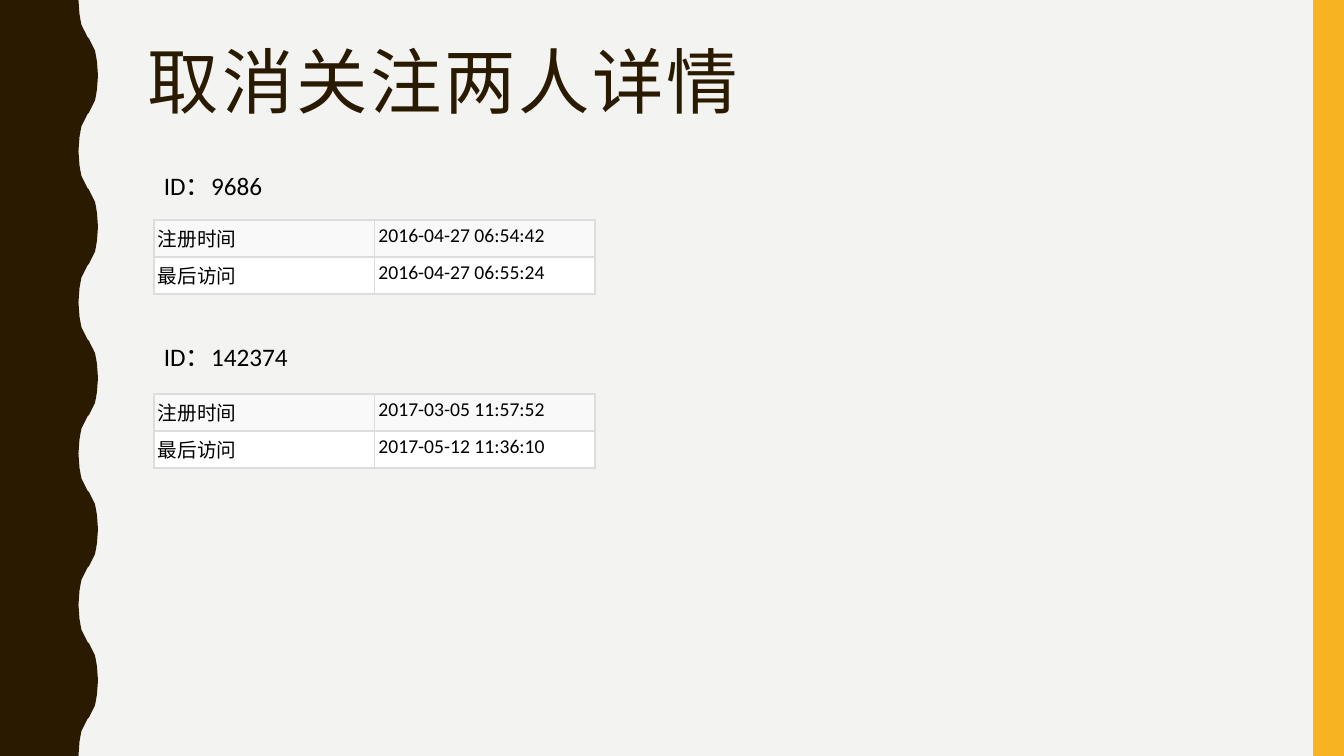
"""Build the slide with the details of two users who unfollowed."""
from lxml.etree import SubElement
from pptx import Presentation
from pptx.dml.color import RGBColor
from pptx.enum.shapes import MSO_SHAPE as Shape
from pptx.oxml.ns import qn
from pptx.util import Pt

EMU_PER_PIXEL = 914400 / 100.8
WIDTH, HEIGHT = 1344, 756
BROWN = RGBColor(0x2A, 0x1A, 0x00)
AMBER = RGBColor(0xF8, 0xB3, 0x23)
PAPER = RGBColor(0xF3, 0xF3, 0xF2)
BLACK = RGBColor(0x00, 0x00, 0x00)
BORDER = RGBColor(0xDD, 0xDD, 0xDD)
ROW_FILLS = (RGBColor(0xF9, 0xF9, 0xF9), RGBColor(0xFF, 0xFF, 0xFF))
TITLE_FONT, BODY_FONT = "Arial Narrow", "Calibri"


def px(length):
    return round(length * EMU_PER_PIXEL)


class SlideBuilder:
    def __init__(self, slide):
        self.slide = slide
        self.shapes = slide.shapes
        slide.background.fill.solid()
        slide.background.fill.fore_color.rgb = PAPER

    def paint(self, shape, color):
        shape.fill.solid()
        shape.fill.fore_color.rgb = color
        shape.line.fill.background()
        shape.shadow.inherit = False

    def bar(self, left, top, width, height, color):
        box = map(px, (left, top, width, height))
        self.paint(self.shapes.add_shape(Shape.RECTANGLE, *box), color)

    def outline(self, points, color):
        start, *rest = [(px(x), px(y)) for x, y in points]
        builder = self.shapes.build_freeform(*start)
        builder.add_line_segments(rest, close=True)
        self.paint(builder.convert_to_shape(), color)

    def style(self, paragraph, size, font=BODY_FONT, color=BLACK):
        paragraph.font.size = Pt(size)
        paragraph.font.name = font
        paragraph.font.color.rgb = color

    def text(self, words, left, top, width, height, size, **look):
        frame = self.shapes.add_textbox(*map(px, (left, top, width, height))).text_frame
        frame.word_wrap = True
        paragraph = frame.paragraphs[0]
        paragraph.text = words
        self.style(paragraph, size, **look)
        return paragraph

    def title(self, words, left, top, width, height):
        heading = self.text(words, left, top, width, height, 51, font=TITLE_FONT, color=BROWN)
        heading.line_spacing = 0.9
        heading.runs[0].font._element.set("spc", "200")

    def border(self, cell):
        properties = cell._tc.get_or_add_tcPr()
        for side in ("lnL", "lnR", "lnT", "lnB"):
            line = SubElement(properties, qn(f"a:{side}"), w=str(Pt(1)))
            fill = SubElement(line, qn("a:solidFill"))
            SubElement(fill, qn("a:srgbClr"), val=str(BORDER))

    def table(self, rows, left, top, width, row_height):
        box = map(px, (left, top, width, row_height * len(rows)))
        grid = self.shapes.add_table(len(rows), len(rows[0]), *box).table
        grid.first_row = grid.horz_banding = False
        for row, values, color in zip(grid.rows, rows, ROW_FILLS):
            for cell, value in zip(row.cells, values):
                cell.text = value
                cell.margin_left = cell.margin_right = px(4)
                cell.margin_top = cell.margin_bottom = px(4)
                self.style(cell.text_frame.paragraphs[0], 14)
                self.border(cell)
                cell.fill.solid()
                cell.fill.fore_color.rgb = color


def wavy_edge(waves=5, trough=78.5, crest=98):
    period = HEIGHT / waves
    quarter = list(zip((0, 0.5, 1, 2, 3, 5, 7, 9), (0, 7, 14, 20, 25, 29, 33, 37)))
    rise = [(trough + x, y) for x, y in quarter]
    rise += [(crest - x, period / 2 - y) for x, y in reversed(quarter)]
    fall = [(x, period - y) for x, y in reversed(rise)]
    wave = rise + fall[1:]
    return [(x, y + period * i) for i in range(waves) for x, y in wave]


deck = Presentation()
deck.slide_width, deck.slide_height = px(WIDTH), px(HEIGHT)
page = SlideBuilder(deck.slides.add_slide(deck.slide_layouts[6]))
page.outline([(0, 0), *wavy_edge(), (0, HEIGHT)], BROWN)
page.bar(1313, 0, 31, HEIGHT, AMBER)
page.title("取消关注两人详情", 138, 42, 1122, 164)

users = (
    ("9686", 165, 220, "2016-04-27 06:54:42", "2016-04-27 06:55:24"),
    ("142374", 336, 394, "2017-03-05 11:57:52", "2017-05-12 11:36:10"),
)
for user_id, label_top, table_top, registered, last_visit in users:
    page.text(f"ID：{user_id}", 154, label_top, 350, 40, 18)
    visits = (("注册时间", registered), ("最后访问", last_visit))
    page.table(visits, 154, table_top, 441, 37)

deck.save("out.pptx")
